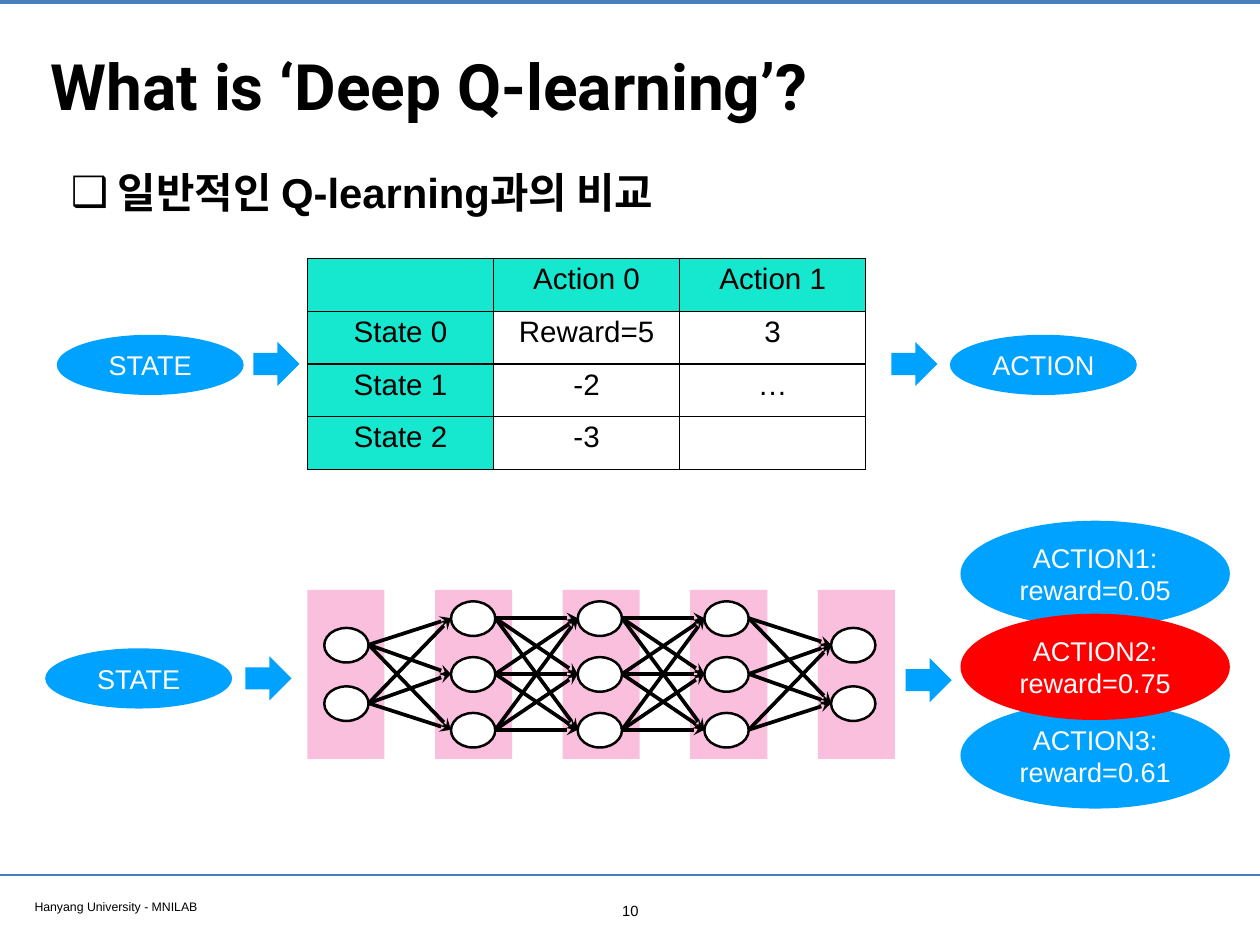
from lxml import etree
from pptx import Presentation
from pptx.dml.color import RGBColor
from pptx.enum.shapes import MSO_CONNECTOR, MSO_SHAPE
from pptx.enum.text import MSO_ANCHOR, MSO_AUTO_SIZE, PP_ALIGN
from pptx.oxml.ns import qn
from pptx.util import Pt

PX = 9144  # 100 px to the inch
OVAL, RECT, ARROW = MSO_SHAPE.OVAL, MSO_SHAPE.RECTANGLE, MSO_SHAPE.RIGHT_ARROW
STRAIGHT = MSO_CONNECTOR.STRAIGHT
TOP, MIDDLE = MSO_ANCHOR.TOP, MSO_ANCHOR.MIDDLE
LEFT, CENTER = PP_ALIGN.LEFT, PP_ALIGN.CENTER
NO_FIT = MSO_AUTO_SIZE.NONE
BLUE, RED, PINK, TEAL = "00A2FF", "FF0000", "F9BFDC", "16E7CF"
RULE, BLACK, WHITE = "4A7EBB", "000000", "FFFFFF"


def px(*values):
    return [v * PX for v in values]


def color(hex_string):
    return RGBColor.from_string(hex_string)


def write(tf, text, size, hex_color=BLACK, font="Arial", bold=False, align=CENTER):
    p = tf.paragraphs[0]
    p.alignment = align
    r = p.add_run()
    r.text = text
    r.font.size, r.font.name, r.font.bold = Pt(size), font, bold
    r.font.color.rgb = color(hex_color)
    return p


def set_frame(tf, anchor):
    tf.word_wrap, tf.auto_size, tf.vertical_anchor = True, NO_FIT, anchor
    tf.margin_left = tf.margin_right = tf.margin_top = tf.margin_bottom = 6 * PX


def add_shape(slide, kind, box, fill, line=None, text=None):
    sp = slide.shapes.add_shape(kind, *px(*box))
    sp.shadow.inherit = False
    sp.fill.solid()
    sp.fill.fore_color.rgb = color(fill)
    if line:
        sp.line.color.rgb, sp.line.width = color(line), Pt(2)
    else:
        sp.line.fill.background()
    if text:
        set_frame(sp.text_frame, MIDDLE)
        write(sp.text_frame, text, 22, WHITE)


def add_line(slide, start, end, hex_color, width, arrow=False):
    cx = slide.shapes.add_connector(STRAIGHT, *px(*start, *end))
    cx.line.color.rgb, cx.line.width = color(hex_color), Pt(width)
    if arrow:
        etree.SubElement(cx.line._get_or_add_ln(), qn("a:tailEnd"), type="stealth")
    etree.SubElement(cx._element.spPr, qn("a:effectLst"))


def add_label(slide, box, text, size, align):
    tf = slide.shapes.add_textbox(*px(*box)).text_frame
    set_frame(tf, TOP)
    write(tf, text, size, align=align)


def place(ph, box, anchor):
    ph.left, ph.top, ph.width, ph.height = px(*box)
    set_frame(ph.text_frame, anchor)
    return ph.text_frame


def add_heading(slide, box):
    x, y, w, h = box
    tf = place(slide.shapes.title, (x, y, w, 135), MIDDLE)
    write(tf, "What is ‘Deep Q-learning’?", 52, font="Roboto", bold=True, align=LEFT)

    tf = place(slide.placeholders[1], (x + 23, y + 143, 1270, 95), TOP)
    pPr = tf.paragraphs[0]._p.get_or_add_pPr()
    pPr.set("marL", str(53 * PX))
    pPr.set("indent", str(-53 * PX))
    etree.SubElement(pPr, qn("a:buChar"), char="❑")
    p = write(tf, "일반적인 Q-learning과의 비교", 34, bold=True, align=LEFT)
    p.line_spacing, p.space_before = 1.2, Pt(0)


def add_footer(slide, box):
    x, y, w, h = box
    add_line(slide, (x, y), (x + w, y), RULE, 2)
    add_label(slide, (x + 33, y + 21, 546, 26), "Hanyang University - MNILAB", 10, LEFT)
    add_label(slide, (x + 692, y + 24, 39, 31), "10", 12, CENTER)


def format_cell(cell, text, fill):
    tcPr = cell._tc.get_or_add_tcPr()
    for side in ("a:lnL", "a:lnR", "a:lnT", "a:lnB"):
        ln = etree.SubElement(tcPr, qn(side), w=str(Pt(1)))
        etree.SubElement(etree.SubElement(ln, qn("a:solidFill")), qn("a:srgbClr"), val=BLACK)
    cell.fill.solid()
    cell.fill.fore_color.rgb = color(fill)
    if text:
        write(cell.text_frame, text, 24)


def add_reward_table(slide, box):
    rows = [["", "Action 0", "Action 1"],
            ["State 0", "Reward=5", "3"],
            ["State 1", "-2", "…"],
            ["State 2", "-3", ""]]
    table = slide.shapes.add_table(len(rows), len(rows[0]), *px(*box)).table
    table.first_row = table.horz_banding = False
    for i, row in enumerate(rows):
        for j, text in enumerate(row):
            format_cell(table.cell(i, j), text, WHITE if i and j else TEAL)


def add_q_learning(slide, box):
    x, y, w, h = box
    add_reward_table(slide, (x + 283, y, 630, h))
    for left, text in ((x, "STATE"), (x + w - 211, "ACTION")):
        add_shape(slide, OVAL, (left, y + 86, 211, 68), BLUE, text=text)
    for left in (x + 222, x + 942):
        add_shape(slide, ARROW, (left, y + 94, 52, 50), BLUE)


def add_network(slide, box):
    x, y, w, h = box
    node_w, node_h = 50, 39
    spacing = {2: 66, 3: 63}
    layers = []
    for i, count in enumerate((2, 3, 3, 3, 2)):
        add_shape(slide, RECT, (x + 144 * i, y, 87, h), PINK)
        first = y + h // 2 - spacing[count] * (count - 1) // 2
        layers.append([(x + 19 + 143 * i, first + spacing[count] * k) for k in range(count)])
    for layer in layers:
        for nx, ny in layer:
            add_shape(slide, OVAL, (nx, ny - node_h // 2, node_w, node_h), WHITE, BLACK)
    # Every node feeds every node of the next layer
    for sources, targets in zip(layers, layers[1:]):
        for sx, sy in sources:
            for target in targets:
                add_line(slide, (sx + node_w, sy), target, BLACK, 3, arrow=True)


def add_deep_q_learning(slide, box):
    x, y, w, h = box
    add_shape(slide, OVAL, (x, y + 144, 211, 68), BLUE, text="STATE")
    add_shape(slide, ARROW, (x + 226, y + 153, 52, 50), BLUE)
    add_network(slide, (x + 296, y + 78, 663, 191))
    add_shape(slide, ARROW, (x + 971, y + 155, 52, 50), BLUE)
    # The best action lies on top of the other two
    for top, text, fill in ((0, "ACTION1: reward=0.05", BLUE),
                            (205, "ACTION3: reward=0.61", BLUE),
                            (105, "ACTION2: reward=0.75", RED)):
        add_shape(slide, OVAL, (x + w - 304, y + top, 304, 120), fill, text=text)


def main():
    prs = Presentation()
    prs.slide_width, prs.slide_height = px(1422, 1067)
    slide = prs.slides.add_slide(prs.slide_layouts[1])
    add_line(slide, (0, 2), (1422, 2), RULE, 3.2)
    add_footer(slide, (0, 988, 1422, 79))
    add_heading(slide, (51, 28, 1321, 238))
    add_q_learning(slide, (64, 292, 1219, 238))
    add_deep_q_learning(slide, (51, 588, 1337, 325))
    prs.save("out.pptx")


if __name__ == "__main__":
    main()
